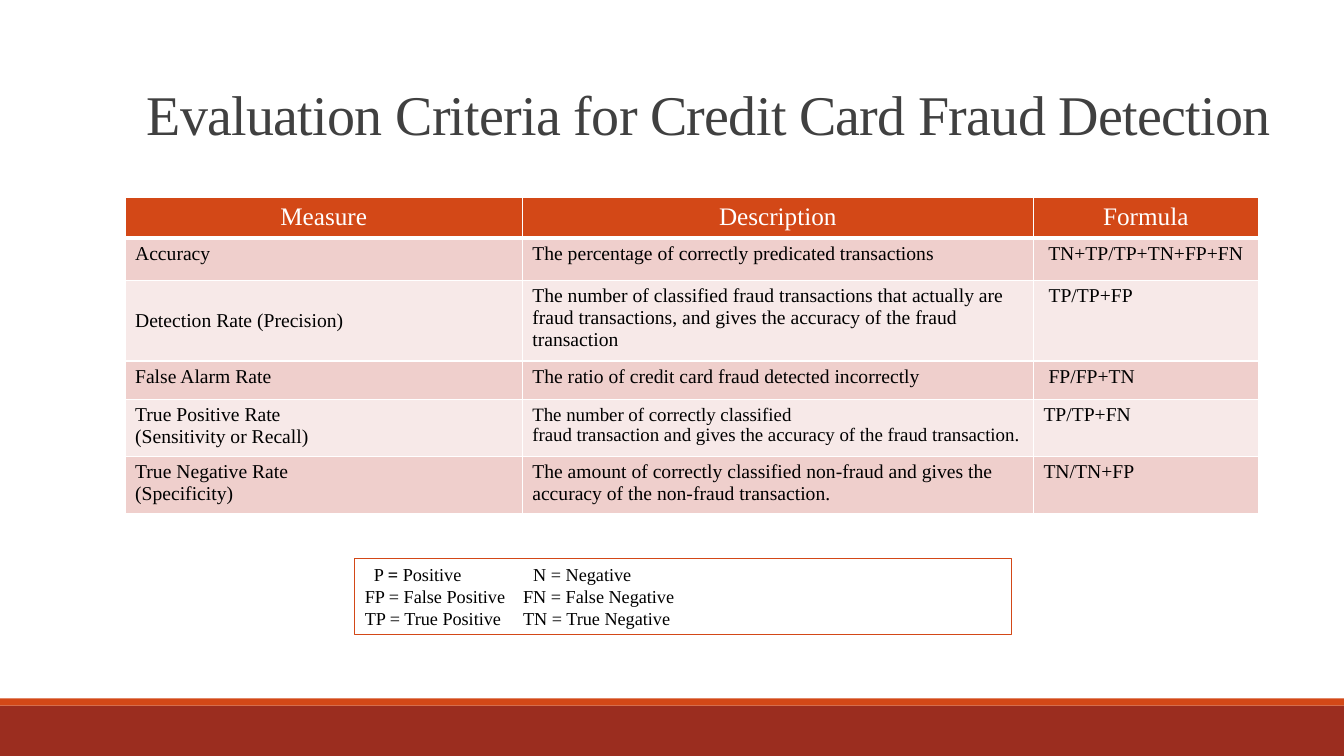
from lxml.etree import SubElement
from pptx import Presentation
from pptx.dml.color import RGBColor
from pptx.enum.shapes import MSO_SHAPE
from pptx.enum.text import MSO_ANCHOR, PP_ALIGN
from pptx.oxml.ns import qn
from pptx.util import Inches, Pt


def color(value):
    return RGBColor.from_string(value)


def write(p, text, size=14, fill="000000", bold=False, align=PP_ALIGN.LEFT):
    p.alignment = align
    r = p.add_run()
    r.text = text
    r.font.name = "Times New Roman"
    r.font.size = Pt(size)
    r.font.bold = bold
    r.font.color.rgb = color(fill)
    return r


prs = Presentation()
prs.slide_width, prs.slide_height = Inches(13.33), Inches(7.5)
s = prs.slides.add_slide(prs.slide_layouts[6])

# Footer bars
for top, height, fill in [(7, 0.5, "9B2D1F"), (6.93, 0.07, "D34817")]:
    bar = s.shapes.add_shape(MSO_SHAPE.RECTANGLE, 0, Inches(top), prs.slide_width, Inches(height))
    bar.shadow.inherit = False
    bar.fill.solid()
    bar.fill.fore_color.rgb = color(fill)
    bar.line.fill.background()

# Title
title = s.shapes.add_textbox(Inches(1.36), Inches(-0.08), Inches(11.97), Inches(1.59))
tf = title.text_frame
tf.word_wrap = True
tf.vertical_anchor = MSO_ANCHOR.BOTTOM
p = tf.paragraphs[0]
p.line_spacing = 0.85
r = write(p, "Evaluation Criteria for Credit Card Fraud Detection", size=40, fill="404040")
r.font._element.set("spc", "-50")

# Measures table
rows = [
    ("Measure", "Description", "Formula"),
    ("Accuracy", "The percentage of correctly predicated transactions", "TN+TP/TP+TN+FP+FN"),
    ("Detection Rate (Precision)",
     "The number of classified fraud transactions that actually are fraud transactions, "
     "and gives the accuracy of the fraud transaction", "TP/TP+FP"),
    ("False Alarm Rate", "The ratio of credit card fraud detected incorrectly", "FP/FP+TN"),
    ("True Positive Rate\n(Sensitivity or Recall)",
     "The number of correctly classified\n"
     "fraud transaction and gives the accuracy of the fraud transaction.", "TP/TP+FN"),
    ("True Negative Rate\n(Specificity)",
     "The amount of correctly classified non-fraud and gives the accuracy "
     "of the non-fraud transaction.", "TN/TN+FP"),
]
widths = [3.94, 5.07, 2.23]
heights = [0.37, 0.42, 0.74, 0.38, 0.53, 0.53]
table = s.shapes.add_table(len(rows), len(widths), Inches(1.24), Inches(1.96),
                           Inches(sum(widths)), Inches(sum(heights))).table
for column, width in zip(table.columns, widths):
    column.width = Inches(width)
for i, (row, height) in enumerate(zip(rows, heights)):
    table.rows[i].height = Inches(height)
    for j, text in enumerate(row):
        cell = table.cell(i, j)
        tcPr = cell._tc.get_or_add_tcPr()
        for side in "LRTB":
            thick = (i == 0 and side == "B") or (i == 1 and side == "T")
            ln = SubElement(tcPr, qn("a:ln" + side), w=str(Pt(3 if thick else 1)))
            SubElement(SubElement(ln, qn("a:solidFill")), qn("a:srgbClr"), val="FFFFFF")
        cell.fill.solid()
        cell.fill.fore_color.rgb = color("D34817" if i == 0 else "EFCFCC" if i % 2 else "F7E9E8")
        tf = cell.text_frame
        for k, line in enumerate(text.split("\n")):
            p = tf.add_paragraph() if k else tf.paragraphs[0]
            if i == 0:
                write(p, line, size=18, fill="FFFFFF", align=PP_ALIGN.CENTER)
            else:
                write(p, line, size=13.5 if (i, j) == (4, 1) else 14,
                      align=PP_ALIGN.CENTER if (i, j) == (1, 2) else PP_ALIGN.LEFT)
for i in (2, 3):
    table.cell(i, 2).margin_left = Inches(0.15)
table.cell(2, 0).vertical_anchor = MSO_ANCHOR.MIDDLE

# Legend of abbreviations, aligned with tab stops
legend = s.shapes.add_shape(MSO_SHAPE.RECTANGLE, Inches(3.52), Inches(5.54), Inches(6.51), Inches(0.76))
legend.shadow.inherit = False
legend.fill.background()
legend.line.color.rgb = color("D34817")
legend.line.width = Pt(0.75)
tf = legend.text_frame
tf.word_wrap = True
tf.vertical_anchor = MSO_ANCHOR.TOP
lines = [
    ([("\tP ", False), ("=", True), (" Positive\tN = Negative", False)], (0.09, 1.67)),
    ([("FP = False Positive\tFN = False Negative", False)], (1.57,)),
    ([("TP = True Positive\tTN = True Negative", False)], (1.57,)),
]
for k, (runs, stops) in enumerate(lines):
    p = tf.add_paragraph() if k else tf.paragraphs[0]
    for text, bold in runs:
        write(p, text, size=13, bold=bold)
    tabs = SubElement(p._p.get_or_add_pPr(), qn("a:tabLst"))
    for stop in stops:
        SubElement(tabs, qn("a:tab"), pos=str(Inches(stop)), algn="l")

prs.save("out.pptx")
